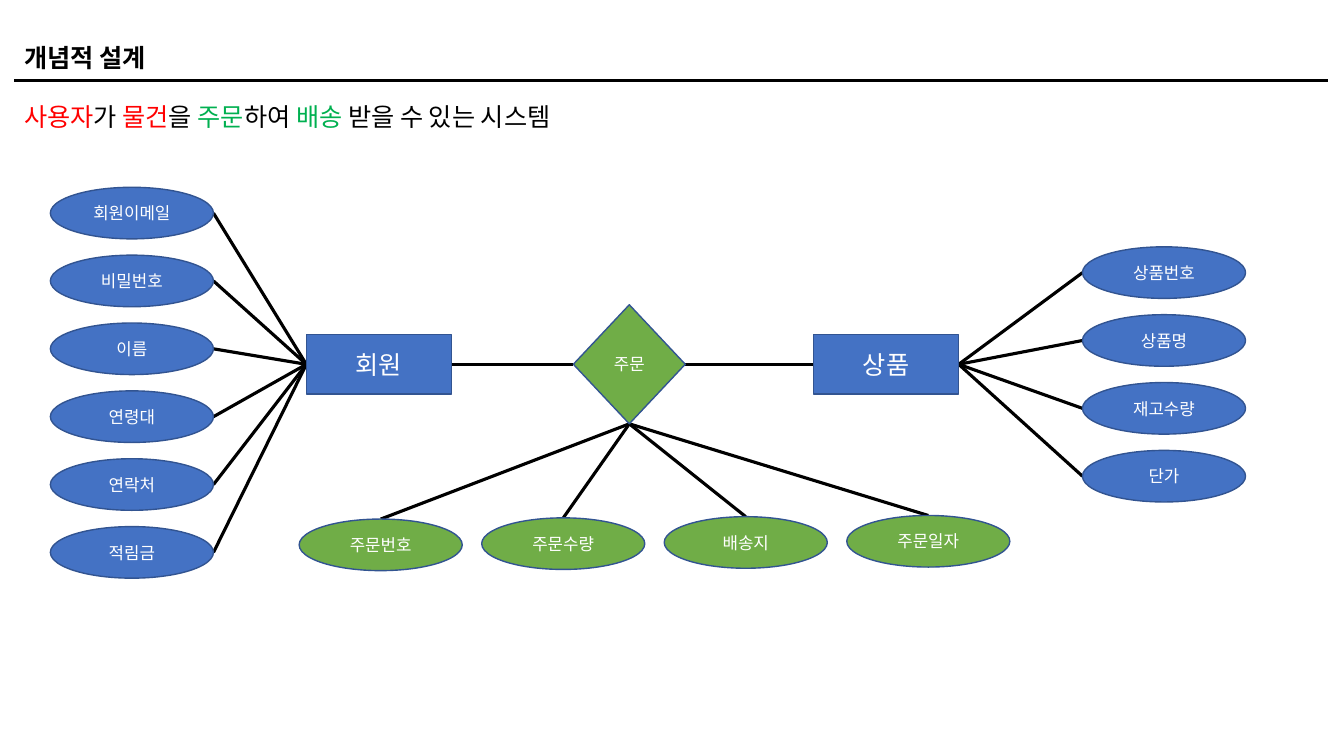
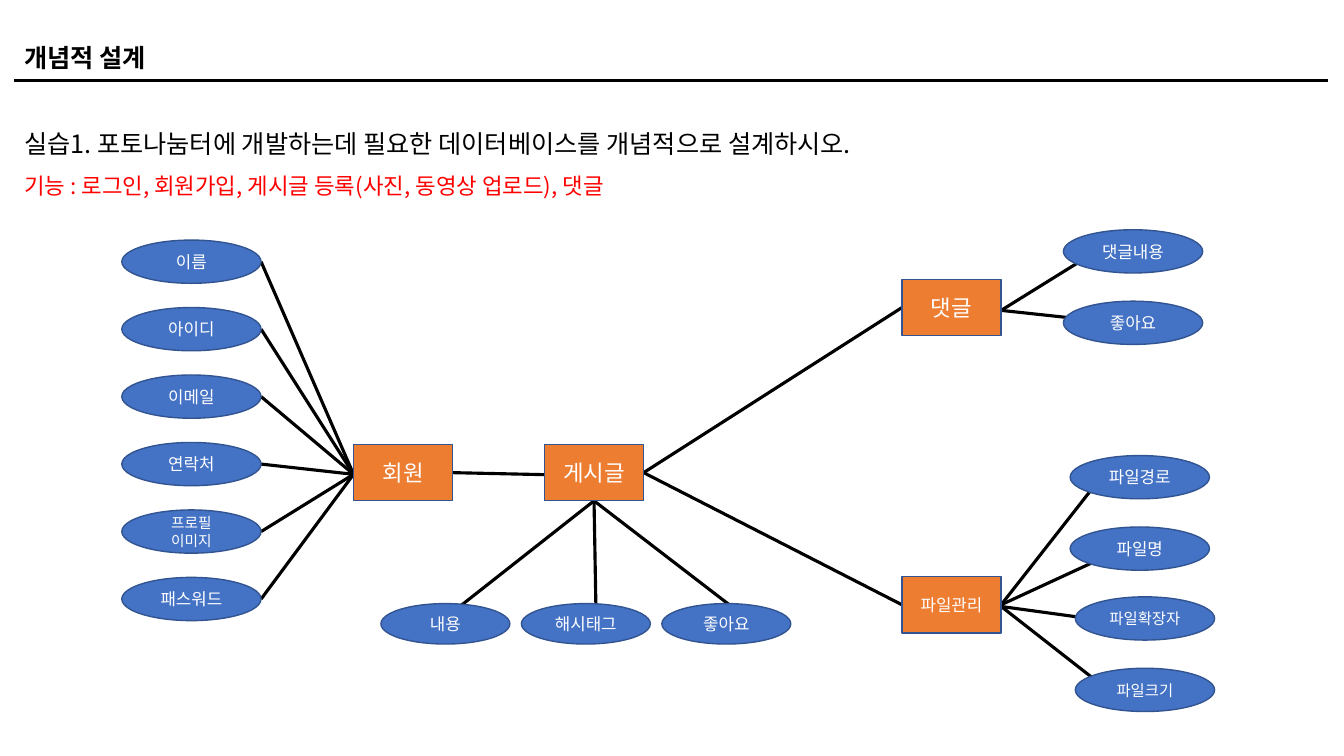
from dataclasses import dataclass
from itertools import cycle

from lxml.etree import SubElement
from pptx import Presentation
from pptx.dml.color import RGBColor
from pptx.enum.shapes import MSO_CONNECTOR, MSO_SHAPE
from pptx.enum.text import MSO_ANCHOR, MSO_AUTO_SIZE, PP_ALIGN
from pptx.oxml.ns import qn
from pptx.util import Cm, Pt


@dataclass(frozen=True)
class Theme:
    font: str = "Noto Sans CJK KR"
    ink: str = "000000"
    white: str = "FFFFFF"
    red: str = "FF0000"
    green_text: str = "00B050"
    blue: str = "4472C4"
    green: str = "70AD47"
    orange: str = "ED7D31"
    outline: str = "325491"
    heading: float = 18
    body: float = 16
    label: float = 12
    small: float = 11
    tiny: float = 10.5
    outline_width: float = 1
    rule_width: float = 1.5
    link_width: float = 2.25


THEME = Theme()
MARGIN, CONTENT_WIDTH = 0.36, 33.12

# Points on a box, as fractions of its width and height
TOP, BOTTOM, LEFT, RIGHT = (0.5, 0), (0.5, 1), (0, 0.5), (1, 0.5)


# Text
def style_span(span, size, colour, bold=False):
    span.font.size = Pt(size)
    span.font.bold = bold
    span.font.color.rgb = RGBColor.from_string(colour)
    span.font.name = THEME.font
    SubElement(span.font._element, qn("a:ea"), typeface=THEME.font)


def add_text(page, top, height, lines, spacing=None, bold=False):
    """Each line is a size and a list of (text, colour) spans."""
    box = page.shapes.add_textbox(Cm(MARGIN), Cm(top), Cm(CONTENT_WIDTH), Cm(height))
    frame = box.text_frame
    frame.word_wrap = True
    frame.auto_size = MSO_AUTO_SIZE.SHAPE_TO_FIT_TEXT
    for index, (size, spans) in enumerate(lines):
        para = frame.add_paragraph() if index else frame.paragraphs[0]
        if spacing:
            para.line_spacing = spacing
        for text, colour in spans:
            span = para.add_run()
            span.text = text
            style_span(span, size, colour, bold)


# Diagram parts
def point_on(bounds, spot):
    left, top, width, height = bounds
    return left + width * spot[0], top + height * spot[1]


def add_line(page, start, end, width=THEME.link_width):
    ends = [Cm(value) for value in (*start, *end)]
    line = page.shapes.add_connector(MSO_CONNECTOR.STRAIGHT, *ends)
    line.line.color.rgb = RGBColor.from_string(THEME.ink)
    line.line.width = Pt(width)
    SubElement(line._element.spPr, qn("a:effectLst"))


def add_node(page, kind, bounds, text, fill, size):
    node = page.shapes.add_shape(kind, *(Cm(value) for value in bounds))
    node.shadow.inherit = False
    node.fill.solid()
    node.fill.fore_color.rgb = RGBColor.from_string(fill)
    node.line.color.rgb = RGBColor.from_string(THEME.outline)
    node.line.width = Pt(THEME.outline_width)
    frame = node.text_frame
    frame.word_wrap = True
    frame.vertical_anchor = MSO_ANCHOR.MIDDLE
    frame.text = text
    for para in frame.paragraphs:
        para.alignment = PP_ALIGN.CENTER
        for span in para.runs:
            style_span(span, size, THEME.white)


def add_attributes(page, hub, names, first, step, oval, tips,
                   fill=THEME.blue, size=THEME.label):
    """Evenly spaced ovals, each linked to the hub point behind it."""
    for index, (name, tip) in enumerate(zip(names, cycle(tips))):
        bounds = (first[0] + index * step[0], first[1] + index * step[1], *oval)
        add_line(page, hub, point_on(bounds, tip))
        text_size = THEME.tiny if "\n" in name else size
        add_node(page, MSO_SHAPE.OVAL, bounds, name, fill, text_size)


def add_page(deck):
    page = deck.slides.add_slide(deck.slide_layouts[6])
    add_line(page, (MARGIN, 2.03), (MARGIN + CONTENT_WIDTH, 2.03), THEME.rule_width)
    add_text(page, 0.94, 1.03, [(THEME.heading, [("개념적 설계", THEME.ink)])], bold=True)
    return page


# Slides
def build_order_page(deck):
    page = add_page(deck)
    add_text(page, 2.44, 1.03, [(THEME.heading, [
        ("사용자", THEME.red), ("가 ", THEME.ink), ("물건", THEME.red), ("을 ", THEME.ink),
        ("주문", THEME.green_text), ("하여 ", THEME.ink), ("배송", THEME.green_text),
        (" 받을 수 있는 시스템", THEME.ink)])])

    member = (7.72, 8.43, 3.66, 1.5)
    product = (20.5, 8.43, 3.66, 1.5)
    order = (14.45, 7.68, 2.82, 3)
    oval = (4.11, 1.3)

    add_line(page, point_on(member, RIGHT), point_on(order, LEFT))
    add_line(page, point_on(order, RIGHT), point_on(product, LEFT))
    add_attributes(page, point_on(member, LEFT),
                   ["회원이메일", "비밀번호", "이름", "연령대", "연락처", "적림금"],
                   (1.27, 4.72), (0, 1.71), oval, [RIGHT])
    add_attributes(page, point_on(product, RIGHT),
                   ["상품번호", "상품명", "재고수량", "단가"],
                   (27.28, 6.22), (0, 1.71), oval, [LEFT])
    add_attributes(page, point_on(order, BOTTOM),
                   ["주문번호", "주문수량", "배송지", "주문일자"],
                   (7.54, 13.08), (4.6, -0.03), oval, [TOP], THEME.green)

    for bounds, name in ((member, "회원"), (product, "상품")):
        add_node(page, MSO_SHAPE.RECTANGLE, bounds, name, THEME.blue, THEME.heading)
    add_node(page, MSO_SHAPE.DIAMOND, order, "주문", THEME.green, THEME.label)


def build_exercise_page(deck):
    page = add_page(deck)
    add_text(page, 2.74, 2.31, [
        (THEME.heading, [("실습1. 포토나눔터에 개발하는데 필요한 데이터베이스를 "
                          "개념적으로 설계하시오.", THEME.ink)]),
        (THEME.body, [("기능 : 로그인, 회원가입, 게시글 등록(사진, 동영상 업로드), 댓글",
                       THEME.red)])], spacing=1.5)

    entity = (2.5, 1.42)
    member = (8.91, 11.2, *entity)
    post = (13.72, 11.2, *entity)
    comment = (22.73, 7.04, *entity)
    files = (22.73, 14.53, *entity)
    oval = (3.51, 1.09)
    inner_left = (0.21, 0.55)

    add_line(page, point_on(member, RIGHT), point_on(post, (0.1, 0.54)))
    for target in (comment, files):
        add_line(page, point_on(post, RIGHT), point_on(target, LEFT))
    add_attributes(page, point_on(member, (0, 0.53)),
                   ["이름", "아이디", "이메일", "연락처", "프로필\n이미지", "패스워드"],
                   (3.07, 6.05), (0, 1.7), oval, [RIGHT])
    add_attributes(page, point_on(post, BOTTOM), ["내용", "해시태그", "좋아요"],
                   (9.6, 15.21), (3.54, 0), (3.25, 1.02),
                   [(0.5, 0.35), (0.58, 0.5), (0.56, 0.12)])
    add_attributes(page, point_on(comment, (1, 0.55)), ["댓글내용", "좋아요"],
                   (26.8, 5.79), (0, 1.8), oval, [inner_left, (0.21, 0.44)])
    add_attributes(page, point_on(files, RIGHT), ["파일경로", "파일명"],
                   (26.97, 11.48), (0, 1.8), oval, [inner_left, (0.29, 0.63)])
    add_attributes(page, point_on(files, (1, 0.53)), ["파일확장자", "파일크기"],
                   (27.1, 15.04), (0, 1.8), oval, [inner_left, (0.21, 0.44)],
                   size=THEME.small)

    for bounds, name, size in ((member, "회원", THEME.body), (post, "게시글", THEME.body),
                               (comment, "댓글", THEME.body), (files, "파일관리", THEME.label)):
        add_node(page, MSO_SHAPE.RECTANGLE, bounds, name, THEME.orange, size)


def main():
    deck = Presentation()
    deck.slide_width, deck.slide_height = Cm(33.87), Cm(19.05)
    build_order_page(deck)
    build_exercise_page(deck)
    deck.save("out.pptx")


if __name__ == "__main__":
    main()
